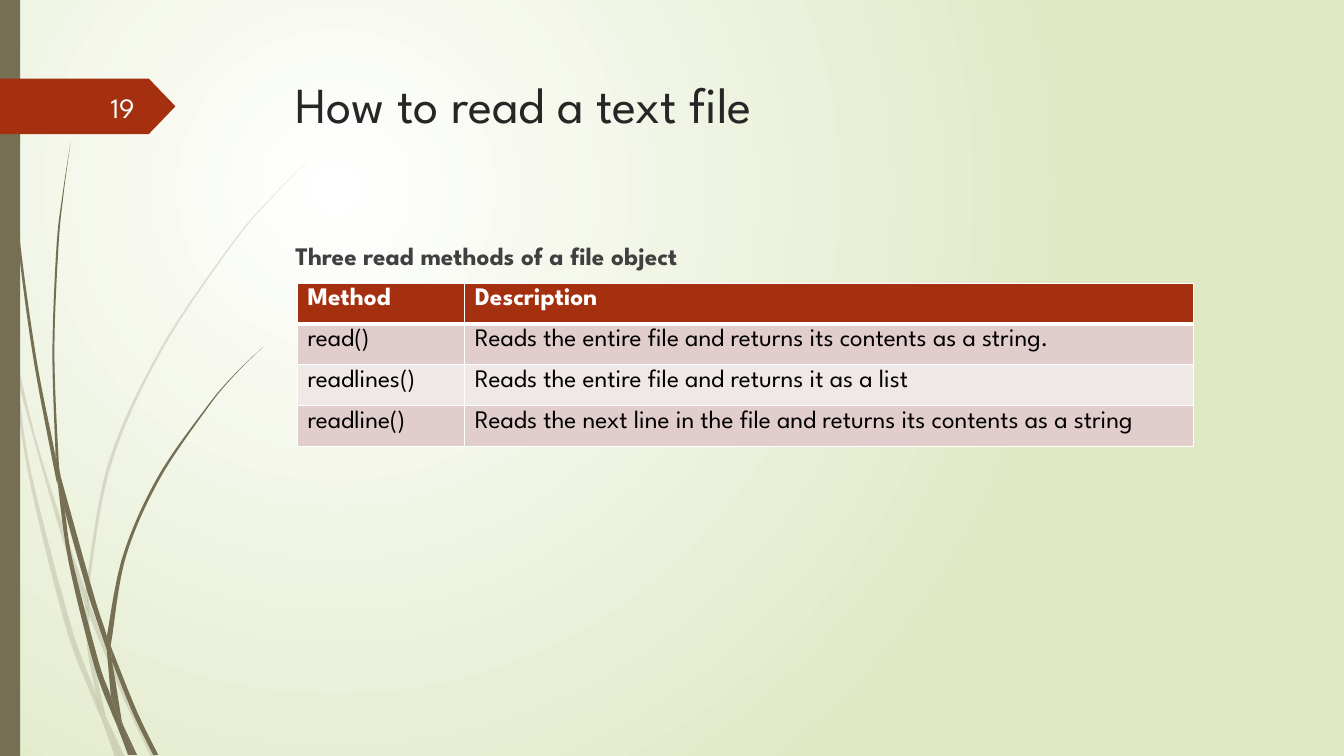
from pptx import Presentation
from pptx.dml.color import RGBColor
from pptx.enum.shapes import MSO_SHAPE
from pptx.enum.text import MSO_ANCHOR, MSO_AUTO_SIZE, PP_ALIGN
from pptx.oxml import parse_xml
from pptx.oxml.ns import nsdecls, qn
from pptx.util import Inches, Pt

FONT = "League Spartan"
WHITE = RGBColor(0xFF, 0xFF, 0xFF)
GREEN = RGBColor(0xDF, 0xE8, 0xC4)
OLIVE = RGBColor(0x76, 0x6F, 0x54)
RUST = RGBColor(0xA5, 0x30, 0x10)
INK = RGBColor(0x26, 0x26, 0x26)
GREY = RGBColor(0x40, 0x40, 0x40)
BLACK = RGBColor(0, 0, 0)
ROSE = RGBColor(0xE1, 0xCD, 0xCC)
PALE = RGBColor(0xF0, 0xE8, 0xE7)

# Slide grid: 100 cells to the inch
CELL = Inches(0.01)
WIDE, HIGH = 1333, 750

# Each blade of grass: one edge going down, the other coming back
FAINT = [
    ([(0, 282), (9, 322), (11, 350)], [(10, 344), (0, 299)]),
    ([(14, 345), (35, 433), (62, 520), (85, 586)],
     [(84, 599), (58, 522), (17, 376)]),
    ([(88, 596), (92, 607), (127, 692), (155, 751)],
     [(150, 751), (123, 694), (88, 610)]),
    ([(105, 711), (124, 751)], [(119, 751)]),
    ([(11, 350), (17, 376), (31, 469), (70, 619), (93, 683), (101, 714)],
     [(92, 693), (65, 621), (28, 470), (11, 350)]),
    ([(84, 599), (88, 608), (91, 646), (105, 711)], [(96, 692), (87, 646), (84, 599)]),
    ([(312, 153), (268, 198), (229, 245), (160, 349), (110, 462), (88, 584), (88, 596)],
     [(85, 586), (85, 584), (107, 461), (158, 348), (228, 244), (268, 197), (312, 153)]),
    ([(101, 714), (119, 751)], [(114, 751)]),
    ([(85, 586), (88, 596), (88, 610)], [(88, 608), (84, 599)]),
    ([(93, 683), (96, 692), (105, 711), (119, 751)], [(101, 714), (93, 683)]),
]
DARK = [
    ([(4, 0), (8, 109), (19, 232), (36, 355), (55, 453), (57, 481)],
     [(56, 477), (33, 355), (17, 233), (7, 110), (3, 0)]),
    ([(60, 472), (93, 590), (106, 631), (106, 645)], [(88, 592), (64, 505), (60, 472)]),
    ([(110, 641), (113, 649), (136, 706), (157, 749)],
     [(152, 749), (132, 708), (111, 656)]),
    ([(57, 477), (64, 505), (72, 556), (98, 657), (110, 691), (117, 722)],
     [(111, 708), (93, 659), (68, 557), (57, 477)]),
    ([(70, 141), (63, 193), (58, 245), (54, 349), (58, 453), (60, 472)],
     [(55, 449), (52, 349), (56, 245), (62, 193), (70, 141)]),
    ([(122, 719), (136, 749)], [(133, 749)]),
    ([(55, 449), (60, 472), (64, 505)], [(57, 477), (55, 453)]),
    ([(261, 344), (231, 374), (205, 406), (158, 476), (125, 552), (111, 633), (110, 641)],
     [(106, 631), (122, 551), (156, 474), (204, 405), (231, 373), (261, 344)]),
    ([(117, 722), (131, 749)], [(127, 749)]),
    ([(106, 645), (111, 656), (121, 716), (122, 719)], [(116, 706), (110, 691)]),
    ([(106, 631), (110, 641), (111, 656)], [(106, 645)]),
    ([(110, 691), (116, 706), (122, 719), (133, 749)], [(130, 749), (117, 722), (110, 691)]),
]
ROWS = [
    ("Method", "Description"),
    ("read()", "Reads the entire file and returns its contents as a string."),
    ("readlines()", "Reads the entire file and returns it as a list"),
    ("readline()", "Reads the next line in the file and returns its contents as a string"),
]


def span(box):
    return [round(n * CELL) for n in box]


def paint(shape, color):
    shape.shadow.inherit = False
    shape.fill.solid()
    shape.fill.fore_color.rgb = color
    shape.line.fill.background()


def write(frame, text, size, color, bold=False, align=PP_ALIGN.LEFT):
    frame.word_wrap = True
    para = frame.paragraphs[0]
    para.text, para.alignment = text, align
    font = para.font
    font.name, font.size, font.bold = FONT, Pt(size), bold
    font.color.rgb = color
    return para


def bends(run):
    """Bezier points for each step of a smooth run."""
    ends = [run[0], *run, run[-1]]
    for a, b, c, d in zip(ends, ends[1:], ends[2:], ends[3:]):
        yield ([q + (r - p) / 6 for p, q, r in zip(a, b, c)],
               [r - (s - q) / 6 for q, r, s in zip(b, c, d)], c)


def curve(shape, box, down, back):
    """Turn the straight sides of a blade into curves."""
    sides = [*bends(down), None, *bends(back)]
    for line, trio in zip(shape.element.findall(".//" + qn("a:lnTo")), sides):
        if trio:
            marks = "".join(
                f'<a:pt x="{round((box[0] + x) * CELL) - shape.left}" '
                f'y="{round((box[1] + y) * CELL) - shape.top}"/>' for x, y in trio)
            line.getparent().replace(line, parse_xml(
                f'<a:cubicBezTo {nsdecls("a")}>{marks}</a:cubicBezTo>'))


def stems(slide, box, blades, alpha=100):
    for down, back in blades:
        pts = [((box[0] + x) * CELL, (box[1] + y) * CELL) for x, y in down + back]
        pen = slide.shapes.build_freeform(*pts[0], scale=1.0)
        pen.add_line_segments(pts[1:], close=True)
        blade = pen.convert_to_shape()
        curve(blade, box, down, back)
        paint(blade, OLIVE)
        if alpha < 100:
            tint = blade.element.spPr.find(".//" + qn("a:srgbClr"))
            tint.append(parse_xml(f'<a:alpha {nsdecls("a")} val="{alpha * 1000}"/>'))


def backdrop(slide):
    fill = slide.background.fill
    fill.gradient()
    for stop, color in zip(fill.gradient_stops, (WHITE, GREEN)):
        stop.color.rgb = color
    grad = slide.element.find(".//" + qn("a:gradFill"))
    ring = parse_xml(f'<a:path {nsdecls("a")} path="circle"><a:fillToRect '
                     'l="50000" t="50000" r="100000" b="100000"/></a:path>')
    grad.replace(grad.find(qn("a:lin")), ring)


def side(slide, box):
    stems(slide, box, FAINT, 20)
    stems(slide, box, DARK)
    # Edge bar
    bar = slide.shapes.add_shape(MSO_SHAPE.RECTANGLE, *span(box))
    paint(bar, OLIVE)


def badge(slide, box, number):
    left, top, wide, high = box
    tag = slide.shapes.add_shape(MSO_SHAPE.PENTAGON, *span(box))
    tag.adjustments[0] = 0.48
    paint(tag, RUST)
    # Page number
    note = slide.shapes.add_textbox(
        *span((left + wide / 3, top + 8, wide * 0.49, 40)))
    note.text_frame.vertical_anchor = MSO_ANCHOR.MIDDLE
    write(note.text_frame, number, 20, WHITE, align=PP_ALIGN.RIGHT)


def heading(slide, box, text):
    title = slide.shapes.title
    title.left, title.top, title.width, title.height = span(box)
    frame = title.text_frame
    frame.auto_size = MSO_AUTO_SIZE.NONE
    frame.vertical_anchor = MSO_ANCHOR.TOP
    write(frame, text, 36, INK)


def caption(slide, box, text):
    note = slide.shapes.add_textbox(*span(box))
    write(note.text_frame, text, 18, GREY, bold=True).space_before = Pt(10)


def edge(cell, foot):
    props = cell._tc.get_or_add_tcPr()
    for name, size in (("L", 1), ("R", 1), ("T", 1), ("B", foot)):
        props.append(parse_xml(
            f'<a:ln{name} {nsdecls("a")} w="{Pt(size)}"><a:solidFill>'
            f'<a:srgbClr val="{WHITE}"/></a:solidFill></a:ln{name}>'))


def methods(slide, box):
    wide, high = span(box)[2:]
    table = slide.shapes.add_table(len(ROWS), 2, *span(box)).table
    first = Inches(1.66)
    table.columns[0].width, table.columns[1].width = first, wide - first
    for r, row in enumerate(ROWS):
        table.rows[r].height = high // len(ROWS)
        head = r == 0
        for c, text in enumerate(row):
            cell = table.cell(r, c)
            write(cell.text_frame, text, 18, WHITE if head else BLACK, head)
            edge(cell, 3 if head else 1)
            cell.fill.solid()
            cell.fill.fore_color.rgb = RUST if head else (PALE, ROSE)[r % 2]


deck = Presentation()
deck.slide_width, deck.slide_height = span((WIDE, HIGH))
page = deck.slides.add_slide(deck.slide_layouts.get_by_name("Title Only"))
backdrop(page)
side(page, (0, 0, 20, HIGH))
badge(page, (0, 78, 174, 55), "19")
heading(page, (283, 68, 975, 140), "How to read a text file")
caption(page, (283, 233, 975, 45), "Three read methods of a file object")
methods(page, (295, 281, 889, 162))
deck.save("out.pptx")
